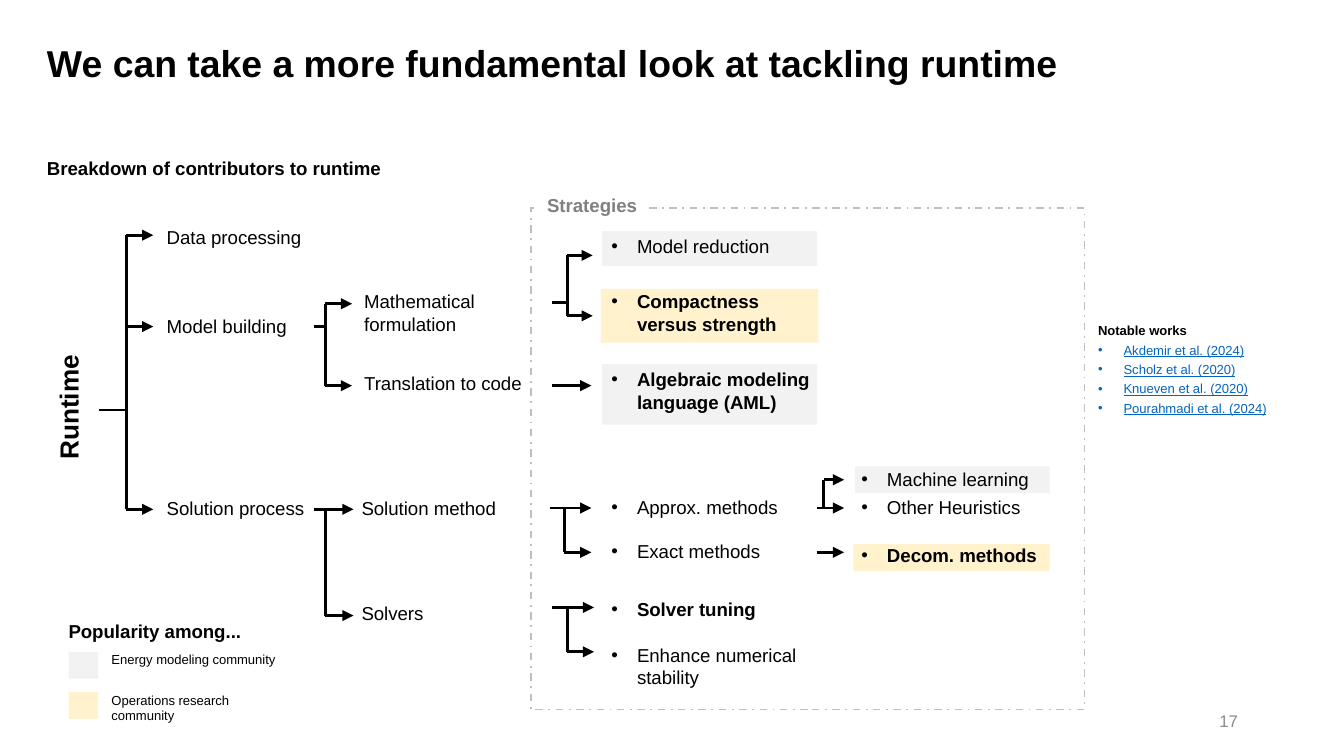
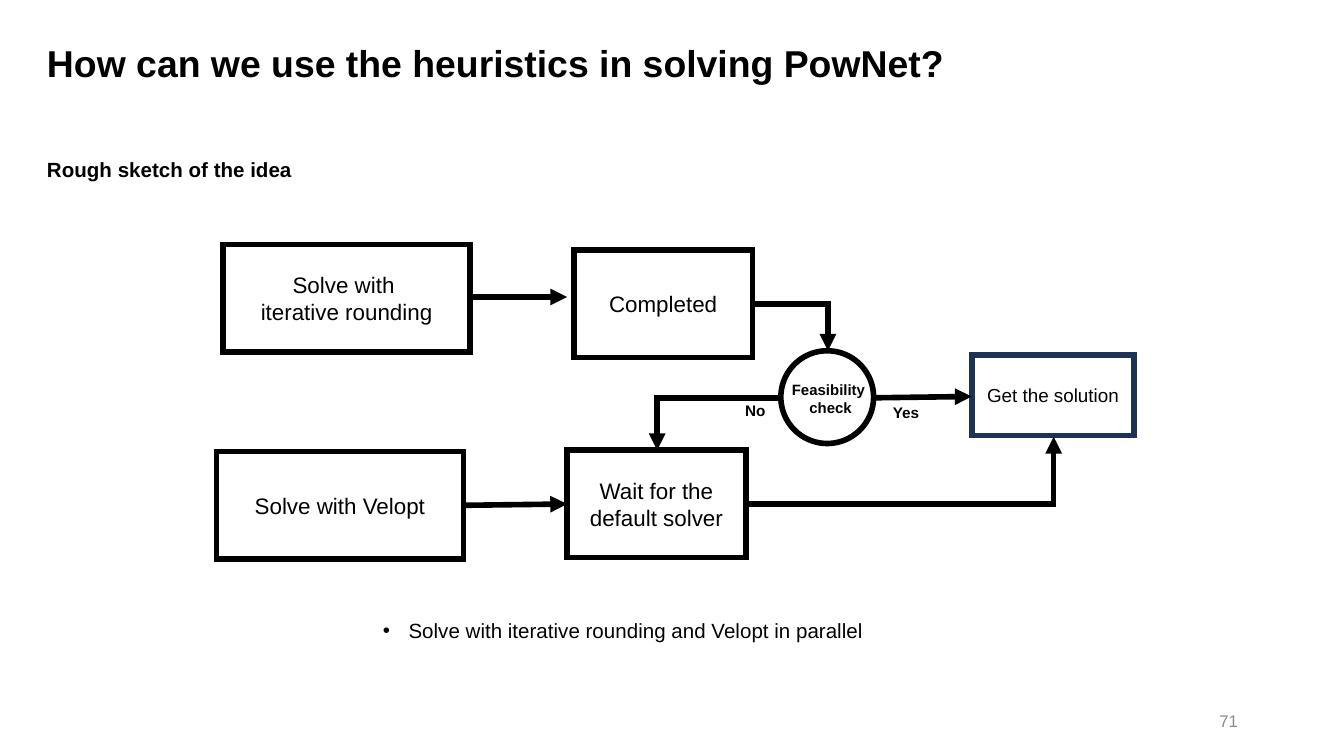
from dataclasses import dataclass
from typing import NamedTuple

from lxml import etree
from pptx import Presentation
from pptx.dml.color import RGBColor
from pptx.enum.dml import MSO_LINE
from pptx.enum.shapes import MSO_CONNECTOR, MSO_SHAPE
from pptx.enum.text import MSO_ANCHOR, PP_ALIGN
from pptx.oxml.ns import qn
from pptx.util import Inches, Pt

RECT, OVAL = MSO_SHAPE.RECTANGLE, MSO_SHAPE.OVAL
STRAIGHT, ELBOW = MSO_CONNECTOR.STRAIGHT, MSO_CONNECTOR.ELBOW
LEFT, CENTER, RIGHT = PP_ALIGN.LEFT, PP_ALIGN.CENTER, PP_ALIGN.RIGHT
TOP, MIDDLE = MSO_ANCHOR.TOP, MSO_ANCHOR.MIDDLE
DASH_DOT = MSO_LINE.DASH_DOT


@dataclass(frozen=True)
class Theme:
    font: str = "Arial"
    ink: str = "000000"
    paper: str = "FFFFFF"
    energy: str = "F2F2F2"
    operations: str = "FFF2CC"
    frame: str = "BFBFBF"
    strategies: str = "808080"
    page_number: str = "8C8C8C"
    link: str = "0563C1"
    solution: str = "1E3256"
    title_size: float = 20
    runtime_size: float = 14
    flow_size: float = 12
    note_size: float = 11
    body_size: float = 10
    solution_size: float = 10.1
    page_size: float = 9
    answer_size: float = 8.2
    check_size: float = 8
    small_size: float = 7
    thin: float = 1
    branch: float = 1.5
    flow: float = 3


THEME = Theme()


class Box(NamedTuple):
    left: float
    top: float
    width: float
    height: float


@dataclass(frozen=True)
class Style:
    size: float = THEME.body_size
    bold: bool = False
    color: str = THEME.ink
    align: PP_ALIGN = LEFT
    bullet: bool = False
    underline: bool = False
    after: float = 0


@dataclass(frozen=True)
class Label:
    """Text in a box; a blank line parts paragraphs, a newline breaks a line."""
    text: str
    box: Box
    style: Style = Style()


@dataclass(frozen=True)
class Fork:
    """A stem that splits at a trunk into arrows at several heights."""
    start: float
    stem_y: float
    trunk: float
    tip: float
    branches: tuple[float, ...]


@dataclass(frozen=True)
class Step:
    text: str
    box: Box
    size: float = THEME.flow_size
    outline: str = THEME.ink


@dataclass(frozen=True)
class Arrow:
    start: tuple[float, float]
    end: tuple[float, float]
    bent: bool = False


BOLD = Style(bold=True)
BULLET = Style(bullet=True)
BOLD_BULLET = Style(bullet=True, bold=True)


# Drawing helpers
def rgb(color: str) -> RGBColor:
    return RGBColor.from_string(color)


def write(frame, lines: list[tuple[str, Style]], inset: bool = False,
          anchor: MSO_ANCHOR = TOP, wrap: bool = True) -> None:
    frame.word_wrap = wrap
    frame.vertical_anchor = anchor
    if not inset:
        frame.margin_left = frame.margin_right = 0
        frame.margin_top = frame.margin_bottom = 0
    for index, (text, style) in enumerate(lines):
        paragraph = frame.add_paragraph() if index else frame.paragraphs[0]
        paragraph.text = text
        paragraph.alignment = style.align
        if style.after:
            paragraph.space_after = Pt(style.after)
        if style.bullet:
            properties = paragraph._p.get_or_add_pPr()
            properties.set("marL", str(Inches(0.19)))
            properties.set("indent", str(Inches(-0.19)))
            etree.SubElement(properties, qn("a:buFont")).set("typeface", THEME.font)
            etree.SubElement(properties, qn("a:buChar")).set("char", "•")
        font = paragraph.font
        font.name, font.size, font.bold = THEME.font, Pt(style.size), style.bold
        font.color.rgb = rgb(style.color)
        if style.underline:
            font.underline = True


def add_text(slide, box: Box, lines: list[tuple[str, Style]], inset: bool = False,
             anchor: MSO_ANCHOR = TOP, wrap: bool = True, rotation: float = 0) -> None:
    area = slide.shapes.add_textbox(*map(Inches, box))
    area.rotation = rotation
    write(area.text_frame, lines, inset, anchor, wrap)


def add_label(slide, label: Label) -> None:
    lines = [(text, label.style) for text in label.text.split("\n\n")]
    add_text(slide, label.box, lines)


def add_block(slide, box: Box, fill: str, outline: str | None = None,
              weight: float = THEME.thin, kind: MSO_SHAPE = RECT):
    block = slide.shapes.add_shape(kind, *map(Inches, box))
    block.shadow.inherit = False
    block.fill.solid()
    block.fill.fore_color.rgb = rgb(fill)
    if outline:
        block.line.color.rgb = rgb(outline)
        block.line.width = Pt(weight)
        border = block._element.spPr.find(qn("a:ln"))
        etree.SubElement(border, qn("a:miter")).set("lim", "800000")
    else:
        block.line.fill.background()
    return block


def add_line(slide, start: tuple[float, float], end: tuple[float, float],
             weight: float = THEME.branch, arrow: bool = True, bent: bool = False) -> None:
    line = slide.shapes.add_connector(ELBOW if bent else STRAIGHT,
                                      *map(Inches, (*start, *end)))
    line.line.color.rgb = rgb(THEME.ink)
    line.line.width = Pt(weight)
    properties = line._element.spPr
    if bent:  # one corner: across first, then up or down
        properties.find(qn("a:prstGeom")).set("prst", "bentConnector2")
    stroke = properties.find(qn("a:ln"))
    etree.SubElement(stroke, qn("a:miter")).set("lim", "800000")
    if arrow:
        etree.SubElement(stroke, qn("a:tailEnd")).set("type", "triangle")
    etree.SubElement(properties, qn("a:effectLst"))


def add_fork(slide, fork: Fork) -> None:
    heights = (fork.stem_y, *fork.branches)
    add_line(slide, (fork.trunk, min(heights)), (fork.trunk, max(heights)), arrow=False)
    if fork.stem_y not in fork.branches:
        add_line(slide, (fork.start, fork.stem_y), (fork.trunk, fork.stem_y), arrow=False)
    for y in fork.branches:
        start = fork.start if y == fork.stem_y else fork.trunk
        add_line(slide, (start, y), (fork.tip, y))


def new_slide(deck, title: str, subtitle: str, subtitle_size: float, page: int):
    slide = deck.slides.add_slide(deck.slide_layouts[6])
    add_text(slide, Box(0.35, 0.3, 8.83, 0.34), [(title, Style(THEME.title_size, True))])
    add_text(slide, Box(0.35, 1.17, 4.07, 0.18), [(subtitle, Style(subtitle_size, True))])
    add_text(slide, Box(7.06, 5.21, 2.25, 0.3),
             [(str(page), Style(THEME.page_size, color=THEME.page_number, align=RIGHT))],
             inset=True, anchor=MIDDLE)
    return slide


# Runtime tree content
HIGHLIGHTS = [
    (Box(4.48, 1.72, 1.6, 0.26), THEME.energy),
    (Box(4.47, 2.15, 1.62, 0.4), THEME.operations),
    (Box(4.48, 2.71, 1.6, 0.45), THEME.energy),
    (Box(6.36, 3.47, 1.45, 0.2), THEME.energy),
    (Box(6.35, 4.05, 1.46, 0.2), THEME.operations),
]
CONTRIBUTORS = [
    Label("Data processing", Box(1.24, 1.68, 1.28, 0.17)),
    Label("Model building", Box(1.24, 2.34, 1.28, 0.17)),
    Label("Solution process", Box(1.24, 3.7, 1.35, 0.17)),
    Label("Mathematical\n\nformulation", Box(2.71, 2.16, 1.2, 0.34)),
    Label("Translation to code", Box(2.71, 2.77, 1.2, 0.17)),
    Label("Solution method", Box(2.69, 3.7, 1.2, 0.17)),
    Label("Solvers", Box(2.69, 4.48, 1.2, 0.17)),
]
STRATEGIES = [
    Label("Model reduction", Box(4.55, 1.75, 1.5, 0.17), BULLET),
    Label("Compactness \nversus strength", Box(4.55, 2.16, 1.5, 0.34), BOLD_BULLET),
    Label("Algebraic modeling language (AML)", Box(4.55, 2.74, 1.5, 0.34), BOLD_BULLET),
    Label("Approx. methods", Box(4.55, 3.69, 1.5, 0.17), BULLET),
    Label("Exact methods", Box(4.55, 4.02, 1.5, 0.17), BULLET),
    Label("Solver tuning", Box(4.55, 4.45, 1.5, 0.17), BOLD_BULLET),
    Label("Enhance numerical\nstability", Box(4.55, 4.79, 1.5, 0.34), BULLET),
    Label("Machine learning\n\nOther Heuristics", Box(6.41, 3.48, 1.3, 0.38),
          Style(bullet=True, after=3)),
    Label("Decom. methods", Box(6.41, 4.05, 1.4, 0.17), BOLD_BULLET),
]
FORKS = [
    Fork(0.74, 3.05, 0.94, 1.14, (1.75, 2.43, 3.79)),
    Fork(2.34, 2.43, 2.42, 2.62, (2.26, 2.87)),
    Fork(2.34, 3.79, 2.42, 2.63, (3.79, 4.58)),
    Fork(4.11, 2.25, 4.22, 4.41, (1.9, 2.35)),
    Fork(4.09, 3.78, 4.2, 4.4, (3.78, 4.11)),
    Fork(4.11, 4.52, 4.22, 4.42, (4.52, 4.85)),
    Fork(6.08, 3.78, 6.13, 6.28, (3.57, 3.78)),
]
DIRECT_ARROWS = [Arrow((4.11, 2.87), (4.4, 2.87)), Arrow((6.08, 4.11), (6.28, 4.11))]
COMMUNITIES = [("Energy modeling community", THEME.energy),
               ("Operations research community", THEME.operations)]
NOTABLE_WORKS = ["Akdemir et al. (2024)", "Scholz et al. (2020)",
                 "Knueven et al. (2020)", "Pourahmadi et al. (2024)"]

# Solving flow content
STEPS = [
    Step("Solve with \niterative rounding", Box(1.66, 1.82, 1.84, 0.8)),
    Step("Solve with Velopt", Box(1.61, 3.36, 1.84, 0.8)),
    Step("Completed", Box(4.27, 1.86, 1.33, 0.8)),
    Step("Wait for the default solver", Box(4.22, 3.35, 1.33, 0.8)),
    Step("Get the solution", Box(7.23, 2.64, 1.21, 0.6), THEME.solution_size, THEME.solution),
]
FLOW_ARROWS = [
    Arrow((3.5, 2.21), (4.22, 2.21)),
    Arrow((3.45, 3.76), (4.22, 3.75)),
    Arrow((6.51, 2.96), (7.23, 2.95)),
    Arrow((5.61, 2.26), (6.16, 2.61), bent=True),
    Arrow((5.81, 2.96), (4.89, 3.35), bent=True),
    Arrow((5.56, 3.75), (7.84, 3.25), bent=True),
]
ANSWERS = [("Yes", Box(6.35, 2.95, 0.78, 0.24)), ("No", Box(5.23, 2.94, 0.78, 0.24))]


def build_runtime_tree(deck) -> None:
    slide = new_slide(deck, "We can take a more fundamental look at tackling runtime",
                      "Breakdown of contributors to runtime", THEME.body_size, 17)
    # Strategies frame with its heading
    frame = add_block(slide, Box(3.95, 1.55, 4.12, 3.73), THEME.paper, THEME.frame)
    frame.line.dash_style = DASH_DOT
    heading = add_block(slide, Box(4.01, 1.44, 0.79, 0.17), THEME.paper)
    write(heading.text_frame,
          [("Strategies", Style(bold=True, color=THEME.strategies, align=CENTER))])
    for box, fill in HIGHLIGHTS:
        add_block(slide, box, fill)
    # Tree
    add_text(slide, Box(-0.17, 2.91, 1.36, 0.24),
             [("Runtime", Style(THEME.runtime_size, True, align=CENTER))], rotation=270)
    for label in CONTRIBUTORS + STRATEGIES:
        add_label(slide, label)
    for fork in FORKS:
        add_fork(slide, fork)
    for arrow in DIRECT_ARROWS:
        add_line(slide, arrow.start, arrow.end)
    # Legend
    add_label(slide, Label("Popularity among...", Box(0.51, 4.61, 1.69, 0.17), BOLD))
    for row, (community, fill) in enumerate(COMMUNITIES):
        top = 4.85 + 0.3 * row
        add_block(slide, Box(0.51, top, 0.22, 0.2), fill)
        add_label(slide, Label(community, Box(0.83, top, 1.36, 0.24), Style(THEME.small_size)))
    # Notable works
    work = Style(THEME.small_size, color=THEME.link, bullet=True, underline=True, after=2)
    works = add_block(slide, Box(8.17, 2.4, 1.69, 0.85), THEME.paper)
    write(works.text_frame, [("Notable works", Style(THEME.small_size, True, after=2)),
                             *((name, work) for name in NOTABLE_WORKS)])


def build_solving_flow(deck) -> None:
    slide = new_slide(deck, "How can we use the heuristics in solving PowNet?",
                      "Rough sketch of the idea", THEME.note_size, 71)
    # Steps and arrows
    for step in STEPS:
        block = add_block(slide, step.box, THEME.paper, step.outline, THEME.flow)
        write(block.text_frame, [(step.text, Style(step.size, align=CENTER))],
              inset=True, anchor=MIDDLE)
    for arrow in FLOW_ARROWS:
        add_line(slide, arrow.start, arrow.end, THEME.flow, bent=arrow.bent)
    # Feasibility check and its answers
    add_block(slide, Box(5.81, 2.61, 0.69, 0.69), THEME.paper, THEME.ink, THEME.flow, OVAL)
    check = Style(THEME.check_size, True, align=CENTER)
    add_text(slide, Box(5.89, 2.83, 0.58, 0.27),
             [("Feasibility ", check), ("check", check)], wrap=False)
    for answer, box in ANSWERS:
        add_text(slide, box, [(answer, Style(THEME.answer_size, True, align=CENTER))],
                 inset=True)
    add_label(slide, Label("Solve with iterative rounding and Velopt in parallel",
                           Box(2.85, 4.6, 4.27, 0.19), Style(THEME.note_size, bullet=True)))


def main() -> None:
    deck = Presentation()
    deck.slide_width = Inches(10)
    deck.slide_height = deck.slide_width * 9 // 16
    build_runtime_tree(deck)
    build_solving_flow(deck)
    deck.save("out.pptx")


if __name__ == "__main__":
    main()
